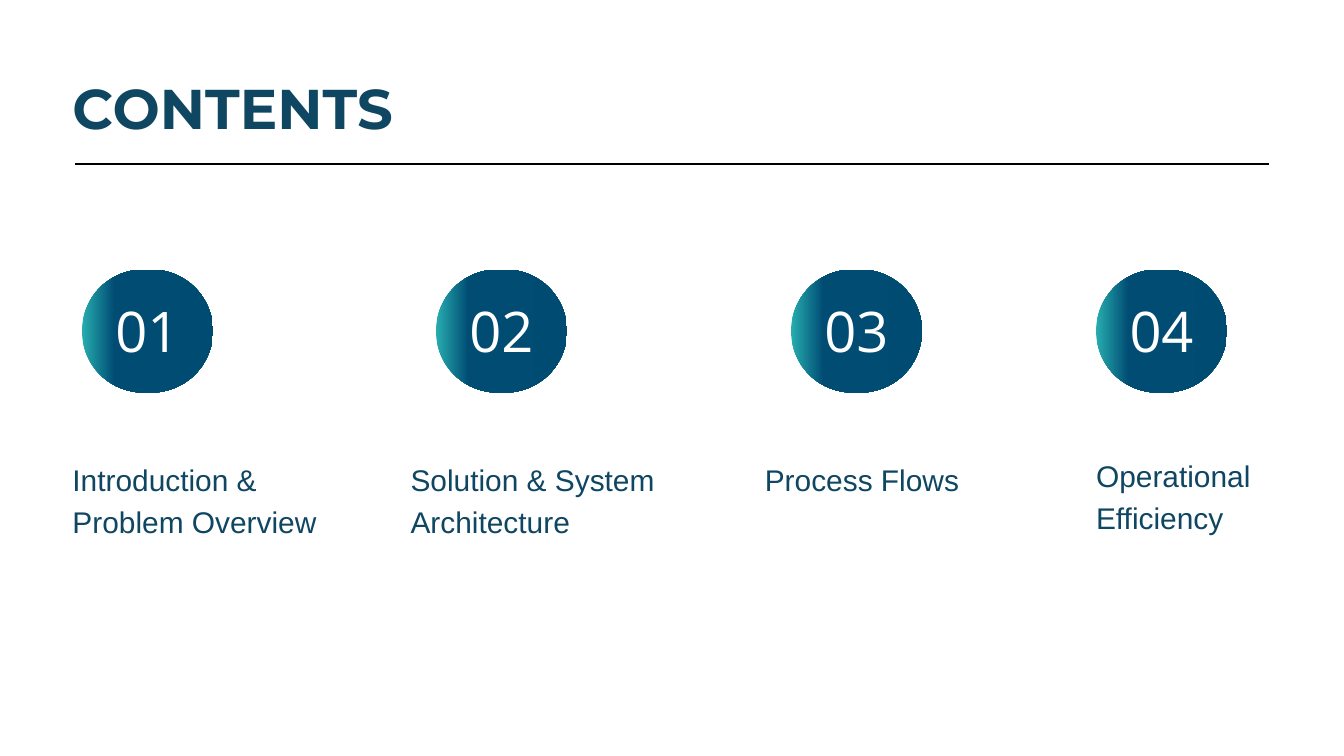
from copy import deepcopy

from pptx import Presentation
from pptx.dml.color import RGBColor
from pptx.enum.shapes import MSO_CONNECTOR, MSO_SHAPE
from pptx.enum.text import MSO_ANCHOR, MSO_AUTO_SIZE, PP_ALIGN
from pptx.oxml.ns import qn
from pptx.util import Cm, Pt

NAVY = "0F4662"
TITLE = "CONTENTS"
SECTIONS = [
    {"lines": ["Introduction &", "Problem Overview"],
     "badge": 3.1, "label": (2.74, 17.22, 10.34, 3.05)},
    {"lines": ["Solution & System Architecture"],
     "badge": 16.48, "label": (15.52, 17.22, 9.37, 3.05)},
    {"lines": ["Process Flows"],
     "badge": 29.9, "label": (28.91, 17.22, 9.37, 1.5)},
    {"lines": ["Operational Efficiency"],
     "badge": 41.43, "label": (41.43, 17.09, 9.37, 3.05)},
]
BADGE_TOP, BADGE_W, BADGE_H = 10.19, 4.95, 4.65
BADGE_STOPS = [(0, "27ADAF"), (0.25, "004C73"), (0.5, "004C73"),
               (0.75, "004B72"), (1, "004B72")]


def rgb(value):
    return RGBColor.from_string(value)


def write(tf, lines, font, size, color, spacing, align=PP_ALIGN.LEFT,
          anchor=MSO_ANCHOR.TOP, bold=False):
    tf.word_wrap = True
    tf.auto_size = MSO_AUTO_SIZE.NONE
    tf.vertical_anchor = anchor
    tf.margin_left = tf.margin_top = tf.margin_right = tf.margin_bottom = 0
    tf.text = "\n".join(lines)
    for p in tf.paragraphs:
        p.alignment = align
        p.line_spacing = Pt(spacing)
        p.font.name = font
        p.font.size = Pt(size)
        p.font.bold = bold
        p.font.color.rgb = rgb(color)


def fill_gradient(shape, stops):
    fill = shape.fill
    fill.gradient()
    fill.gradient_angle = 0
    stop_list = shape._element.spPr.find(qn("a:gradFill")).find(qn("a:gsLst"))
    while len(stop_list) < len(stops):
        stop_list.append(deepcopy(stop_list[-1]))
    for stop, (position, color) in zip(fill.gradient_stops, stops):
        stop.position = position
        stop.color.rgb = rgb(color)


def add_badge(s, number, left):
    sp = s.shapes.add_shape(MSO_SHAPE.ROUNDED_RECTANGLE, Cm(left),
                            Cm(BADGE_TOP), Cm(BADGE_W), Cm(BADGE_H))
    sp.adjustments[0] = 0.5
    sp.shadow.inherit = False
    sp.line.fill.background()
    fill_gradient(sp, BADGE_STOPS)
    write(sp.text_frame, [f"{number:02d}"], "Open Sans", 60, "FFFFFF", 60.6,
          PP_ALIGN.CENTER, MSO_ANCHOR.MIDDLE)
    sp.text_frame.margin_top = Cm(0.36)


def add_rule(s):
    line = s.shapes.add_connector(MSO_CONNECTOR.STRAIGHT, Cm(2.85), Cm(6.2),
                                  Cm(47.95), Cm(6.2))
    line.line.color.rgb = rgb("000000")
    line.line.width = Pt(3)
    spPr = line._element.spPr
    spPr.append(spPr.makeelement(qn("a:effectLst"), {}))


def main():
    prs = Presentation()
    prs.slide_width, prs.slide_height = Cm(50.8), Cm(28.58)
    s = prs.slides.add_slide(prs.slide_layouts[5])

    title = s.shapes.title
    title.left, title.top = Cm(2.74), Cm(3.18)
    title.width, title.height = Cm(25.32), Cm(2.2)
    write(title.text_frame, [TITLE], "Montserrat", 60, NAVY, 60.6, bold=True)
    add_rule(s)

    for number, section in enumerate(SECTIONS, 1):
        add_badge(s, number, section["badge"])
        label = s.shapes.add_textbox(*map(Cm, section["label"]))
        write(label.text_frame, section["lines"], "Arial", 32, NAVY, 44.8)

    prs.save("out.pptx")


if __name__ == "__main__":
    main()
